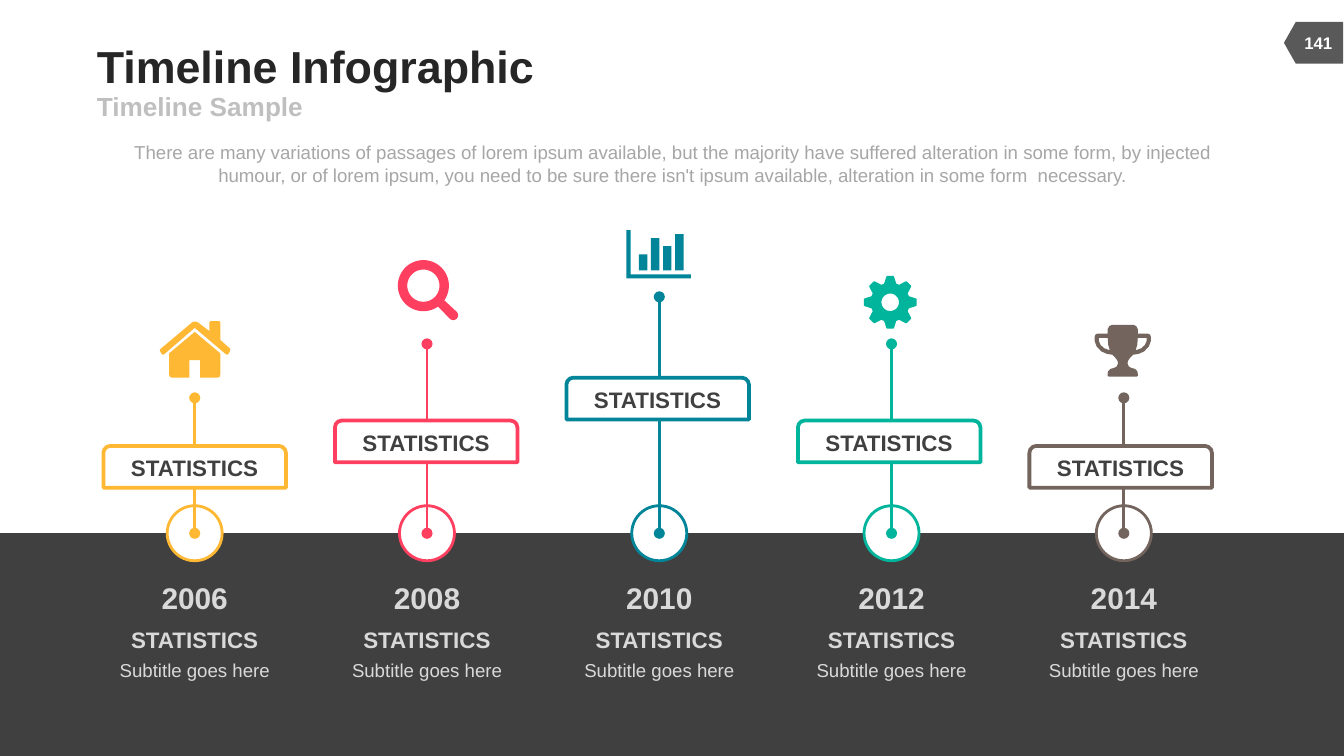
from dataclasses import dataclass
from math import cos, radians, sin

from pptx import Presentation
from pptx.dml.color import RGBColor
from pptx.enum.shapes import MSO_CONNECTOR, MSO_SHAPE
from pptx.enum.text import MSO_ANCHOR, PP_ALIGN
from pptx.oxml.ns import qn
from pptx.oxml.xmlchemy import OxmlElement
from pptx.util import Cm, Pt

LEFT, CENTER = PP_ALIGN.LEFT, PP_ALIGN.CENTER
MIDDLE, TOP = MSO_ANCHOR.MIDDLE, MSO_ANCHOR.TOP
RECTANGLE, OVAL = MSO_SHAPE.RECTANGLE, MSO_SHAPE.OVAL
LABEL_SHAPE = MSO_SHAPE.ROUND_2_SAME_RECTANGLE
TAG_SHAPE = MSO_SHAPE.FLOWCHART_OFFPAGE_CONNECTOR
STRAIGHT = MSO_CONNECTOR.STRAIGHT

FONT = "Arial"
WHITE, DARK, PALE = "FFFFFF", "404040", "D9D9D9"

# Lengths in centimetres
PAGE_WIDTH, PAGE_HEIGHT = 25.4, 14.29
AXIS_Y = 10.08
FIRST_X, PITCH, LABEL_PITCH = 3.68, 4.39, 4.375
CIRCLE = 1.04
LABEL_WIDTH, LABEL_HEIGHT = 3.45, 0.79
CAPTION_WIDTH = 3.91
ICON_UNIT = 0.0254

Point = tuple[float, float]
Contour = list[Point]


@dataclass
class Icon:
    left: float
    top: float
    contours: list[Contour]


@dataclass
class Milestone:
    year: str
    color: str
    stem_top: float
    label_top: float
    icon: Icon


def rgb(value: str) -> RGBColor:
    return RGBColor.from_string(value)


def arc(x: float, y: float, radius: float, start: int = 0, end: int = 360) -> Contour:
    """Points every five degrees, running clockwise from the right."""
    return [(x + radius * cos(radians(a)), y + radius * sin(radians(a)))
            for a in range(start, end + 1, 5)]


def bar(x: float, y: float, bottom: float, width: float = 6.3) -> Contour:
    return [(x, y), (x + width, y), (x + width, bottom), (x, bottom)]


def mirrored(points: Contour) -> Contour:
    return [(-x, y) for x, y in reversed(points)]


def house() -> list[Contour]:
    roof = [(51, 24.5), (50, 25), (49, 24.5), (26, 5), (3.5, 24.5), (2.5, 25),
            (1.5, 24.5), (0, 22), (0.2, 21), (24, 1), (25.2, 0.4), (27, 0.4),
            (28.5, 1), (37, 7.5), (37, 0.8), (37.8, 0), (44.2, 0), (45, 0.8),
            (45, 14), (52.3, 20.5), (52.4, 22)]
    walls = [(45, 40), (44.5, 41.5), (43, 42), (30, 42), (30, 29), (22, 29),
             (22, 42), (9, 42), (7.5, 41.5), (7, 40), (7, 24), (26, 8), (45, 24)]
    return [roof, walls]


def magnifier() -> list[Contour]:
    rim = arc(19, 18.5, 19, 55, 395)
    handle_end = arc(41.2, 40.5, 3.6, -45, 135)
    return [rim + handle_end, arc(19, 18.5, 12)]


def bar_chart() -> list[Contour]:
    axes = [(48, 36), (0, 36), (0, 0), (3, 0), (3, 33), (48, 33)]
    tops = [18, 6, 12, 3]
    return [axes] + [bar(9.2 + 9 * i, top, 30) for i, top in enumerate(tops)]


def gear() -> list[Contour]:
    tooth = [(-18, 14.6), (-9, 19), (-7, 19.8), (7, 19.8), (9, 19), (18, 14.6)]
    rim = [(19.5 + r * cos(radians(turn + a)), 19.5 + r * sin(radians(turn + a)))
           for turn in range(0, 360, 45) for a, r in tooth]
    return [rim, arc(19.5, 19.5, 6.5)]


def trophy() -> list[Contour]:
    side = [(8, 0), (10, 1), (11.3, 3.5), (11.3, 6.5), (18.5, 6.5), (20.3, 7.3),
            (20.9, 9), (20.9, 12), (19.5, 16), (16, 19.8), (12, 21.6), (7.8, 22.3),
            (5.5, 24.5), (3.8, 27), (3.6, 29), (4.5, 31), (6.5, 32.2), (9, 32.8),
            (10.8, 34.5), (11.2, 36.5), (11.2, 38), (10.5, 38.6)]
    handle = [(11.2, 9.7), (17.8, 9.7), (17.8, 12), (16.5, 15), (13.8, 17.5),
              (9.6, 19), (10.8, 15)]
    return [side + mirrored(side), handle, mirrored(handle)]


MILESTONES = [
    Milestone("2006", "FEB834", 7.52, 8.43, Icon(3.02, 6.07, house())),
    Milestone("2008", "FF3F5F", 6.5, 7.95, Icon(7.52, 4.93, magnifier())),
    Milestone("2010", "028599", 5.61, 7.14, Icon(11.84, 4.35, bar_chart())),
    Milestone("2012", "01B59C", 6.5, 7.95, Icon(16.33, 5.22, gear())),
    Milestone("2014", "73655D", 7.52, 8.43, Icon(21.22, 6.14, trophy())),
]


def write(shape, text: str, *, size: float, color: str, bold: bool = False,
          align=CENTER, anchor=MIDDLE) -> None:
    frame = shape.text_frame
    frame.word_wrap = True
    frame.vertical_anchor = anchor
    frame.margin_left = frame.margin_right = frame.margin_top = frame.margin_bottom = 0
    para = frame.paragraphs[0]
    para.alignment = align
    span = para.add_run()
    span.text = text
    span.font.name, span.font.size, span.font.bold = FONT, Pt(size), bold
    span.font.color.rgb = rgb(color)


def add_text(page, text: str, x: float, y: float, width: float, height: float,
             **style) -> None:
    box = page.shapes.add_textbox(Cm(x), Cm(y), Cm(width), Cm(height))
    write(box, text, **style)


def paint(shape, fill: str, line: str = "", weight: float = 0) -> None:
    shape.shadow.inherit = False
    shape.fill.solid()
    shape.fill.fore_color.rgb = rgb(fill)
    if line:
        shape.line.color.rgb = rgb(line)
        shape.line.width = Pt(weight)
    else:
        shape.line.fill.background()


def add_box(page, kind, x: float, y: float, width: float, height: float,
            fill: str, line: str = "", weight: float = 0):
    box = page.shapes.add_shape(kind, Cm(x), Cm(y), Cm(width), Cm(height))
    paint(box, fill, line, weight)
    return box


def add_stem(page, x: float, top: float, color: str) -> None:
    """Vertical line with a dot at each end."""
    stem = page.shapes.add_connector(STRAIGHT, Cm(x), Cm(top), Cm(x), Cm(AXIS_Y))
    stem.line.color.rgb = rgb(color)
    stem.line.width = Pt(1.5)
    properties = stem._element.spPr
    for tag in ("a:headEnd", "a:tailEnd"):
        dot = OxmlElement(tag)
        dot.set("type", "oval")
        properties.find(qn("a:ln")).append(dot)
    properties.append(OxmlElement("a:effectLst"))


def add_icon(page, icon: Icon, color: str) -> None:
    paths = [[(Cm(icon.left + x * ICON_UNIT), Cm(icon.top + y * ICON_UNIT))
              for x, y in contour] for contour in icon.contours]
    builder = page.shapes.build_freeform(*paths[0][0], scale=1.0)
    builder.add_line_segments(paths[0][1:], close=True)
    for path in paths[1:]:
        builder.move_to(*path[0])
        builder.add_line_segments(path[1:], close=True)
    paint(builder.convert_to_shape(), color)


def add_milestone(page, index: int, item: Milestone) -> None:
    x = FIRST_X + index * PITCH
    add_box(page, OVAL, x - CIRCLE / 2, AXIS_Y - CIRCLE / 2, CIRCLE, CIRCLE,
            WHITE, item.color, 1.5)
    add_stem(page, x, item.stem_top, item.color)
    label_left = FIRST_X + index * LABEL_PITCH - LABEL_WIDTH / 2
    label = add_box(page, LABEL_SHAPE, label_left, item.label_top,
                    LABEL_WIDTH, LABEL_HEIGHT, WHITE, item.color, 2)
    write(label, "STATISTICS", size=12, color=DARK, bold=True)
    add_icon(page, item.icon, item.color)
    left = x - CAPTION_WIDTH / 2
    add_text(page, item.year, left, 10.95, CAPTION_WIDTH, 0.69,
             size=16, color=PALE, bold=True)
    add_text(page, "STATISTICS", left, 11.84, CAPTION_WIDTH, 0.51,
             size=12, color=PALE, bold=True)
    add_text(page, "Subtitle goes here", left, 12.45, CAPTION_WIDTH, 0.43,
             size=10, color=PALE)


def main() -> None:
    deck = Presentation()
    deck.slide_width, deck.slide_height = Cm(PAGE_WIDTH), Cm(PAGE_HEIGHT)
    page = deck.slides.add_slide(deck.slide_layouts[6])

    tag = add_box(page, TAG_SHAPE, 24.43, 0.25, 0.79, 1.12, "595959")
    tag.rotation = 90
    add_text(page, "141", 24.38, 0.43, 1.07, 0.76, size=9, color=WHITE, bold=True)
    add_text(page, "Timeline Infographic", 1.83, 0.74, 15.67, 0.99,
             size=24, color="262626", bold=True, align=LEFT)
    add_text(page, "Timeline Sample", 1.83, 1.73, 11.43, 0.56,
             size=14, color="BFBFBF", bold=True, align=LEFT)
    add_text(page, "There are many variations of passages of lorem ipsum available, "
             "but the majority have suffered alteration in some form, by injected "
             "humour, or of lorem ipsum, you need to be sure there isn't ipsum "
             "available, alteration in some form  necessary.",
             2.16, 2.67, 21.08, 0.86, size=10, color="A6A6A6", anchor=TOP)

    add_box(page, RECTANGLE, 0, AXIS_Y, PAGE_WIDTH, PAGE_HEIGHT - AXIS_Y, DARK)
    for index, item in enumerate(MILESTONES):
        add_milestone(page, index, item)
    deck.save("out.pptx")


if __name__ == "__main__":
    main()
